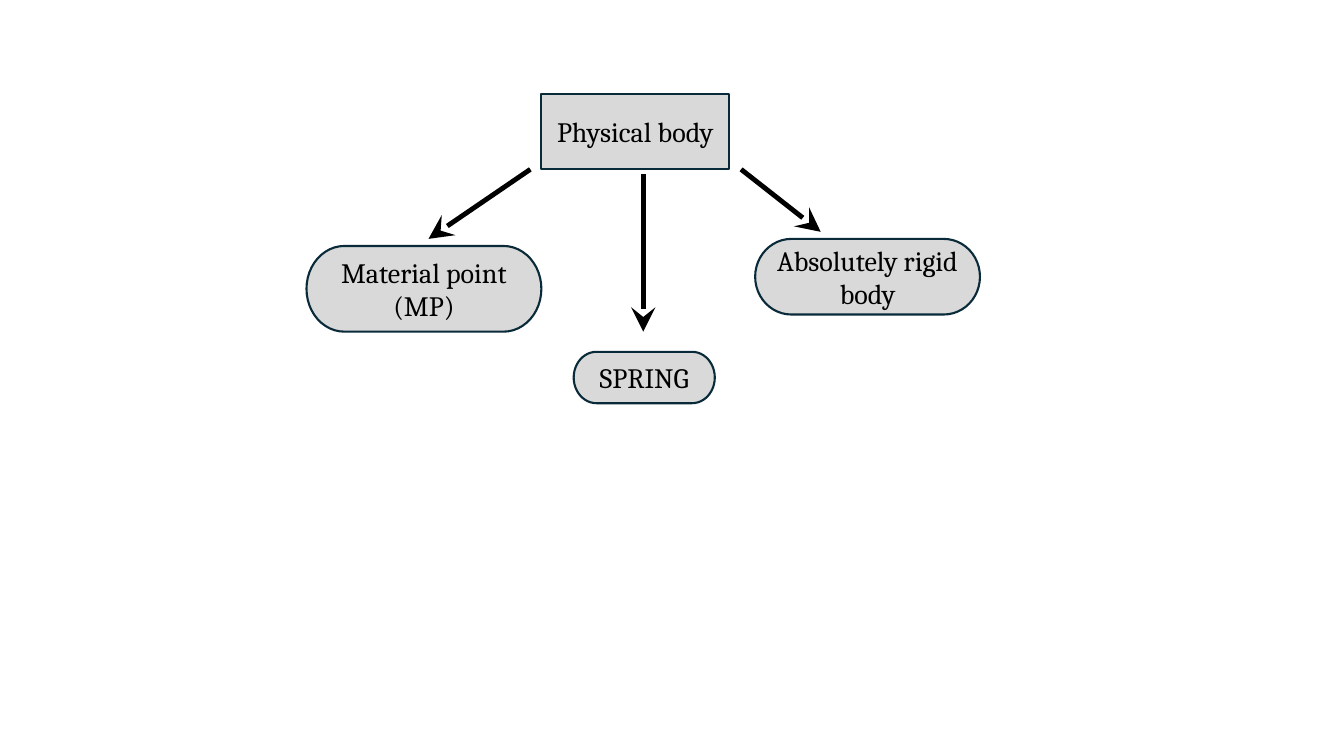
from lxml.etree import SubElement
from pptx import Presentation
from pptx.dml.color import RGBColor
from pptx.enum.shapes import MSO_CONNECTOR as Connector, MSO_SHAPE as Shape
from pptx.enum.text import MSO_ANCHOR as Anchor, PP_ALIGN as Align
from pptx.oxml.ns import qn
from pptx.util import Pt

PX = 9144  # EMU per px, 100 px to the inch
COLORS = {"fill": "D9D9D9", "outline": "092A39", "ink": "000000"}
FONT = "Cambria"


def px(*lengths):
    return [length * PX for length in lengths]


def color(name):
    return RGBColor.from_string(COLORS[name])


def write(frame, text, *, size=20, ink="ink", align=Align.CENTER):
    frame.word_wrap = True
    frame.vertical_anchor = Anchor.MIDDLE
    para = frame.paragraphs[0]
    para.alignment = align
    span = para.add_run()
    span.text = text
    span.font.name = FONT
    span.font.size = Pt(size)
    span.font.color.rgb = color(ink)


def add_node(page, kind, text, bounds):
    node = page.shapes.add_shape(kind, *px(*bounds))
    node.shadow.inherit = False
    node.fill.solid()
    node.fill.fore_color.rgb = color("fill")
    node.line.color.rgb = color("outline")
    node.line.width = Pt(1.5)
    write(node.text_frame, text)


def add_arrow(page, start, end):
    arrow = page.shapes.add_connector(Connector.STRAIGHT, *px(*start, *end))
    arrow.line.color.rgb = color("ink")
    arrow.line.width = Pt(3.5)
    SubElement(arrow.line._get_or_add_ln(), qn("a:tailEnd"),
               type="stealth", w="lg", len="lg")
    SubElement(arrow._element.spPr, qn("a:effectLst"))


def main():
    deck = Presentation()
    deck.slide_width, deck.slide_height = px(1333, 750)
    page = deck.slides.add_slide(deck.slide_layouts[6])

    # Root concept and its models
    add_node(page, Shape.RECTANGLE, "Physical body", (537, 93, 186, 75))
    for text, bounds in (
        ("Material point (MP)", (304, 244, 233, 85)),
        ("SPRING", (569, 349, 140, 51)),
        ("Absolutely rigid body", (749, 237, 223, 75)),
    ):
        add_node(page, Shape.FLOWCHART_TERMINATOR, text, bounds)

    # Arrows from the root to each model
    for start, end in (
        ((526, 168), (425, 237)),
        ((638, 173), (638, 329)),
        ((735, 168), (814, 230)),
    ):
        add_arrow(page, start, end)

    deck.save("out.pptx")


if __name__ == "__main__":
    main()
